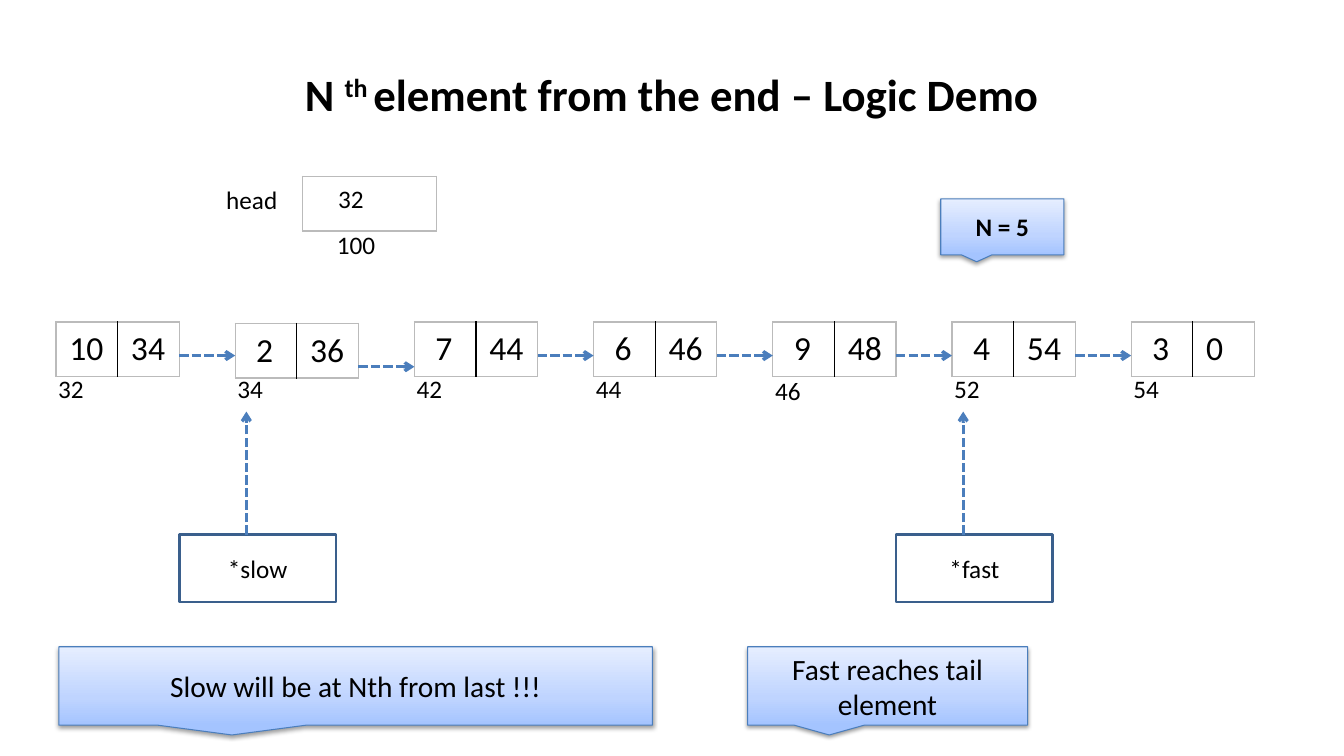
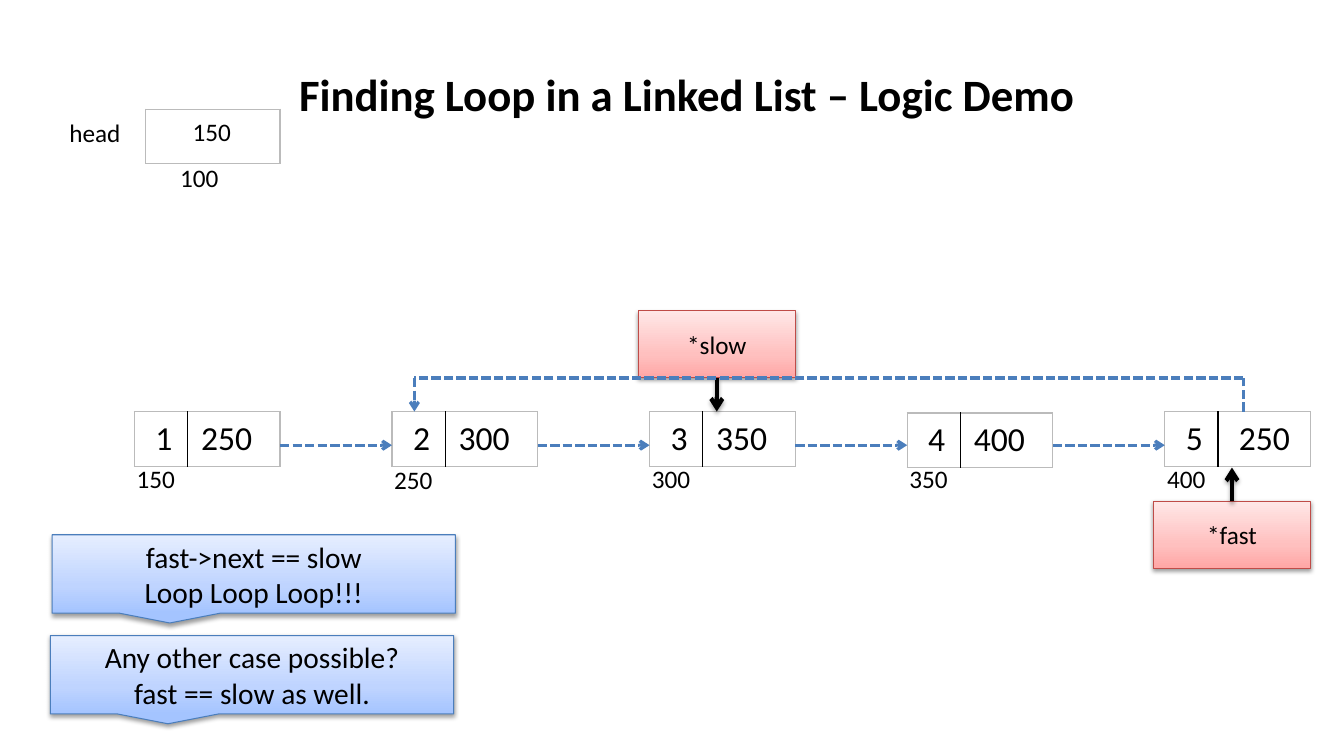
from dataclasses import dataclass
from itertools import pairwise

from lxml import etree
from pptx import Presentation
from pptx.dml.color import RGBColor
from pptx.enum import dml, shapes, text
from pptx.oxml import ns
from pptx.util import Pt

FONT = "Calibri"
COLORS = {
    "ink": "000000",
    "paper": "FFFFFF",
    "grid": "BBBBBB",
    "link": "4B7EBC",
    "frame": "3A5F8C",
    "alert": "BF4C48",
}
GRADIENTS = {
    "link": [(0, "A4C4FF"), (35, "BFD4FF"), (100, "E6EEFF")],
    "alert": [(0, "FFA6A5"), (35, "FFC0BF"), (100, "FFE7E7")],
}
MARGIN_X, MARGIN_Y = 9.6, 4.8
CELL_HEIGHT = 39
POINTER_SIZE = (112, 48)


@dataclass
class Node:
    value: str
    pointer: str
    address: str
    node_drop: float = 0
    label_drop: float = 0
    link_drop: float = 0


NTH_SLIDE = {
    "title": [("N ", 0), ("th ", 30), ("element from the end – Logic Demo", 0)],
    "title_shift": 0,
    "head": {"at": (216, 126), "value": "32", "inset": 16},
    "list": {"at": (40, 230), "pitch": 128, "columns": (44, 44)},
    "nodes": [
        Node("10", "34", "32"),
        Node(" 2", "36", "34", node_drop=1, link_drop=8),
        Node(" 7", "44", "42"),
        Node(" 6", "46", "44"),
        Node(" 9", "48", "46", label_drop=1.2),
        Node(" 4", "54", "52"),
        Node(" 3", "0", "54"),
    ],
    "callouts": [
        ("N = 5", (672, 142, 88, 40), 18, True),
        ("Fast reaches tail element", (534, 462, 200, 56), 21, False),
        ("Slow will be at Nth from last !!!", (42, 462, 424, 56), 21, False),
    ],
}
LOOP_SLIDE = {
    "title": [("Finding Loop in a Linked List – Logic Demo", 0)],
    "title_shift": 21.7,
    "head": {"at": (104, 78), "value": "150", "inset": 24},
    "list": {"at": (96, 294), "pitch": 184, "columns": (38, 66)},
    "nodes": [
        Node(" 1", "250", "150"),
        Node(" 2", "300", "250", label_drop=1.2),
        Node(" 3", "350", "300"),
        Node(" 4", "400", "350", node_drop=1),
        Node(" 5", " 250", "400"),
    ],
    "callouts": [
        ("fast->next == slow\nLoop Loop Loop!!!", (37.3, 382, 288, 56), 21, False),
        ("Any other case possible?\nfast == slow as well.", (36, 454, 288, 56), 21, False),
    ],
}
NTH_POINTERS = [("*fast", (640, 382)), ("*slow", (128, 382))]
# label, corner, side the arrow leaves from, arrow tip
LOOP_POINTERS = [("*fast", (824, 358), 0, (880, 334)), ("*slow", (456, 222), 2, (512, 294))]
LOOP_PATH = [(888, 294), (888, 270), (296, 270), (296, 294)]


def rgb(name):
    return RGBColor.from_string(COLORS[name])


def points(values):
    return [Pt(value) for value in values]


def add_xml(parent, tag, **attributes):
    return etree.SubElement(parent, ns.qn(tag), {key: str(value) for key, value in attributes.items()})


def add_color(parent, color):
    return add_xml(parent, "a:srgbClr", val=color)


def set_effects(shape, shadow=None):
    """Replace the theme shadow by none, or by (distance, opacity percent)."""
    effects = add_xml(shape._element.spPr, "a:effectLst")
    if shadow:
        distance, opacity = shadow
        outer = add_xml(effects, "a:outerShdw", blurRad=Pt(3.1), dist=Pt(distance), dir=5400000, rotWithShape=0)
        add_xml(add_color(outer, COLORS["ink"]), "a:alpha", val=opacity * 1000)


def set_gradient(shape, stops):
    shape.fill.gradient()
    shape.fill.gradient_angle = 90
    stop_list = shape._element.spPr.find(".//" + ns.qn("a:gsLst"))
    for stop in list(stop_list):
        stop_list.remove(stop)
    for position, color in stops:
        add_color(add_xml(stop_list, "a:gs", pos=position * 1000), color)


def style_text(frame, content, size, bold=False):
    frame.text = content
    for para in frame.paragraphs:
        font = para.font
        font.name, font.size, font.bold = FONT, Pt(size), bold
        font.color.rgb = rgb("ink")


def set_margins(frame):
    frame.margin_left = frame.margin_right = Pt(MARGIN_X)
    frame.margin_top = frame.margin_bottom = Pt(MARGIN_Y)


def add_label(page, content, left, top, width=80):
    box = page.shapes.add_textbox(*points((left, top, width, 31.5)))
    box.text_frame.word_wrap = True
    set_margins(box.text_frame)
    style_text(box.text_frame, content, 18)


def add_box(page, kind, content, place, size, line, line_width=0.75, bold=False):
    """Add a captioned shape, shaded when its line colour has a gradient."""
    box = page.shapes.add_shape(kind, *points(place))
    box.line.color.rgb = rgb(line)
    box.line.width = Pt(line_width)
    if line in GRADIENTS:
        set_gradient(box, GRADIENTS[line])
        set_effects(box, (1.6, 38))
    else:
        box.fill.solid()
        box.fill.fore_color.rgb = rgb("paper")
        set_effects(box)
    frame = box.text_frame
    frame.word_wrap = True
    frame.vertical_anchor = text.MSO_ANCHOR.MIDDLE
    set_margins(frame)
    style_text(frame, content, size, bold)
    for para in frame.paragraphs:
        para.alignment = text.PP_ALIGN.CENTER
    return box


def add_line(page, start, end, arrow=True, solid=False):
    line = page.shapes.add_connector(shapes.MSO_CONNECTOR.STRAIGHT, *points(start + end))
    line.line.color.rgb = rgb("ink" if solid else "link")
    line.line.width = Pt(3 if solid else 2.25)
    if not solid:
        line.line.dash_style = dml.MSO_LINE.SQUARE_DOT
    if arrow:
        add_xml(line._element.spPr.find(ns.qn("a:ln")), "a:tailEnd", type="arrow")
    set_effects(line, (1.8, 35) if solid else None)
    return line


def add_cells(page, left, top, columns, contents):
    """Add a one-row table with a pale outline and black dividers."""
    place = points((left, top, sum(columns), CELL_HEIGHT))
    table = page.shapes.add_table(1, len(columns), *place).table
    table.first_row = table.horz_banding = False
    table.rows[0].height = Pt(CELL_HEIGHT)
    last = len(columns) - 1
    for index, (width, content) in enumerate(zip(columns, contents)):
        table.columns[index].width = Pt(width)
        cell = table.cell(0, index)
        set_margins(cell)
        if content:
            style_text(cell.text_frame, content, 24)
        cell.fill.background()
        properties = cell._tc.get_or_add_tcPr()
        for order, side in enumerate("LRTB"):
            divider = (side == "L" and index > 0) or (side == "R" and index < last)
            border = add_xml(properties, "a:ln" + side, w=Pt(1))
            add_color(add_xml(border, "a:solidFill"), COLORS["ink" if divider else "grid"])
            properties.insert(order, border)


def add_title(page, spans, shift):
    title = page.shapes.title
    title.left, title.top, title.width, title.height = points((48, 21.6, 864, 90))
    frame = title.text_frame
    frame.vertical_anchor = text.MSO_ANCHOR.MIDDLE
    frame.margin_left = Pt(7.2 + shift)
    style_text(frame, "", 32, True)
    para = frame.paragraphs[0]
    para.alignment = text.PP_ALIGN.CENTER
    for content, raised in spans:
        span = para.add_run()
        span.text = content
        if raised:
            span._r.get_or_add_rPr().set("baseline", str(raised * 1000))


def add_head(page, at, value, inset):
    left, top = at
    add_cells(page, left, top, [96], [""])
    add_label(page, "100", left + 15, top + 33)
    add_label(page, "head", left - 64, top + 1.2)
    add_label(page, value, left + inset, top, 64)


def add_list(page, nodes, at, pitch, columns):
    left, top = at
    lefts = [left + index * pitch for index in range(len(nodes))]
    for node, x in zip(nodes, lefts):
        add_cells(page, x, top + node.node_drop, columns, (node.value, node.pointer))
        add_label(page, node.address, x - 8, top + 32 + node.label_drop)
    for node, (x, next_x) in zip(nodes, pairwise(lefts)):
        y = top + 24 + node.link_drop
        add_line(page, (x + sum(columns), y), (next_x, y))


def add_demo(deck, content):
    page = deck.slides.add_slide(deck.slide_layouts[5])
    add_title(page, content["title"], content["title_shift"])
    add_head(page, **content["head"])
    add_list(page, content["nodes"], **content["list"])
    for caption, place, size, bold in content["callouts"]:
        add_box(page, shapes.MSO_SHAPE.RECTANGULAR_CALLOUT, caption, place, size, "link", bold=bold)
    return page


def main():
    deck = Presentation()
    deck.slide_width, deck.slide_height = Pt(960), Pt(540)
    rectangle = shapes.MSO_SHAPE.RECTANGLE

    page = add_demo(deck, NTH_SLIDE)
    for caption, (left, top) in NTH_POINTERS:
        add_box(page, rectangle, caption, (left, top, *POINTER_SIZE), 18, "frame", 2)
        add_line(page, (left + 48, top), (left + 48, 294))

    page = add_demo(deck, LOOP_SLIDE)
    for caption, corner, side, tip in LOOP_POINTERS:
        box = add_box(page, rectangle, caption, corner + POINTER_SIZE, 18, "alert")
        add_line(page, tip, tip, solid=True).begin_connect(box, side)
    for start, end in pairwise(LOOP_PATH):
        add_line(page, start, end, arrow=end == LOOP_PATH[-1])

    deck.save("out.pptx")


if __name__ == "__main__":
    main()
